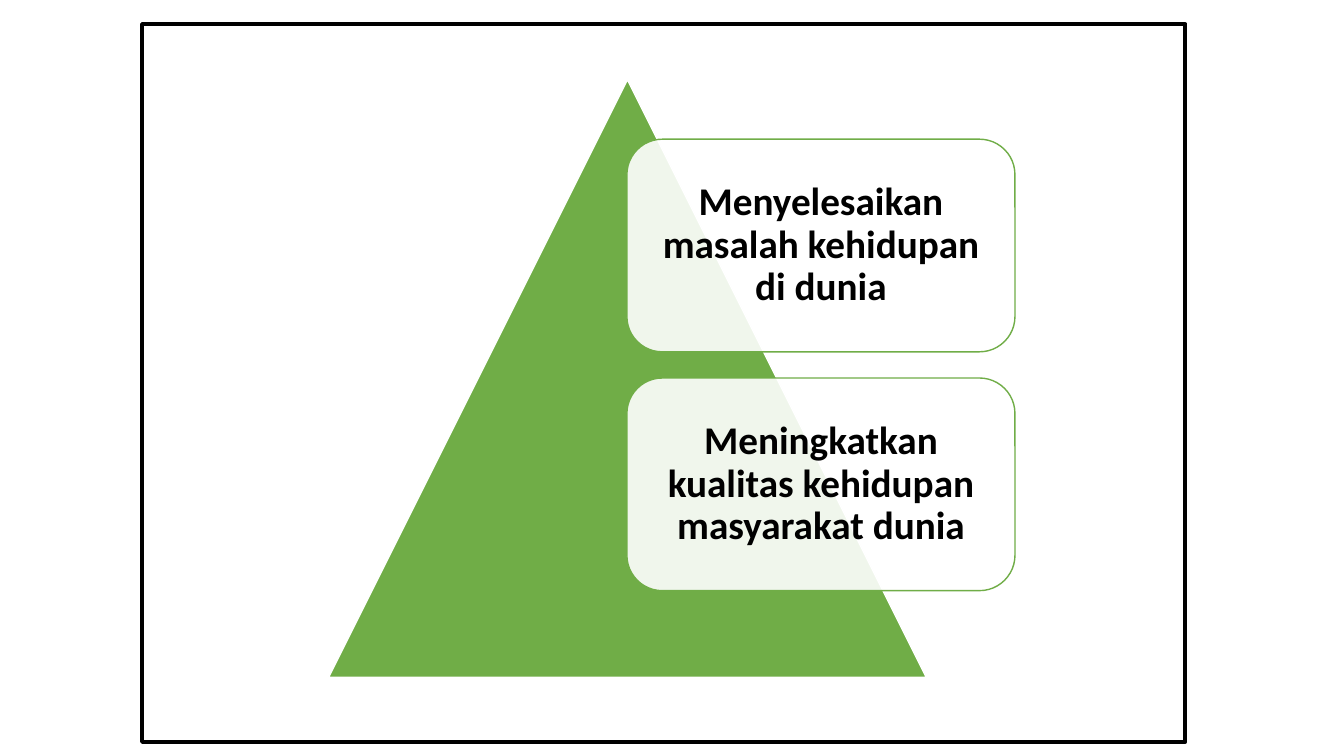
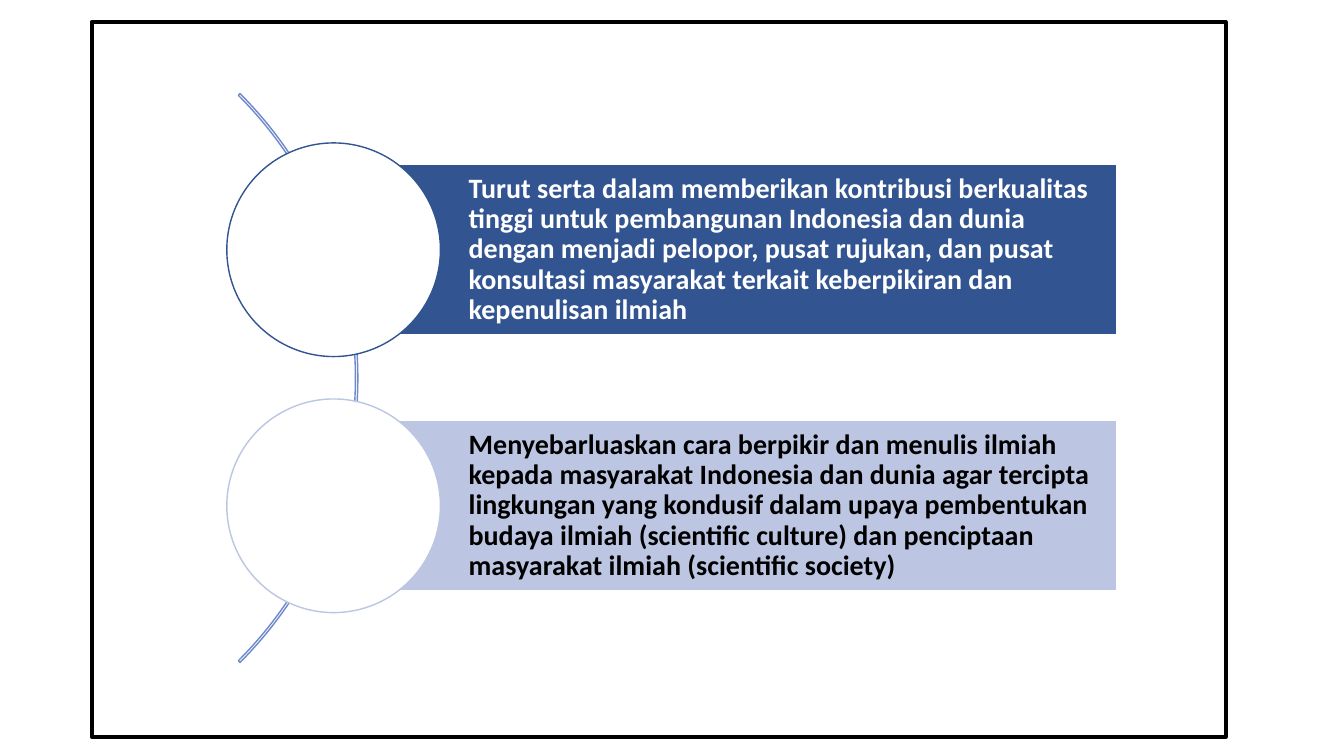
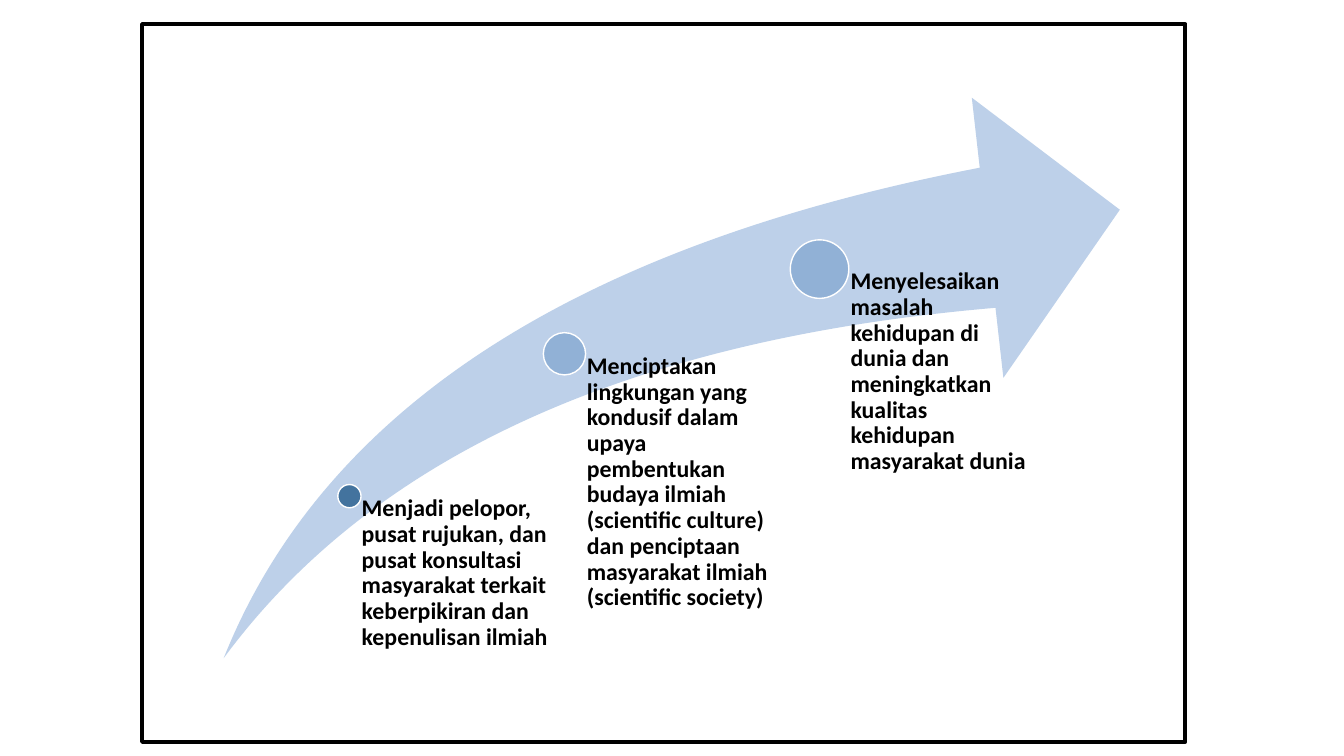
"""Build three diagram slides: a pyramid, an arc list and a rising arrow."""
from lxml import etree
from pptx import Presentation
from pptx.dml.color import RGBColor
from pptx.enum.shapes import MSO_SHAPE
from pptx.enum.text import MSO_ANCHOR, PP_ALIGN
from pptx.oxml.ns import qn
from pptx.util import Pt

TRIANGLE = MSO_SHAPE.ISOSCELES_TRIANGLE
ROUNDED = MSO_SHAPE.ROUNDED_RECTANGLE
RECTANGLE = MSO_SHAPE.RECTANGLE
OVAL = MSO_SHAPE.OVAL
ARC = MSO_SHAPE.BLOCK_ARC
SWOOSH = MSO_SHAPE.SWOOSH_ARROW
TOP, MIDDLE = MSO_ANCHOR.TOP, MSO_ANCHOR.MIDDLE
LEFT, CENTER = PP_ALIGN.LEFT, PP_ALIGN.CENTER

BLACK = RGBColor(0x00, 0x00, 0x00)
WHITE = RGBColor(0xFF, 0xFF, 0xFF)
GREEN = RGBColor(0x70, 0xAD, 0x47)
ARC_BLUE = RGBColor(0x6D, 0x89, 0xCB)
NAVY = RGBColor(0x32, 0x54, 0x91)
LAVENDER = RGBColor(0xBC, 0xC6, 0xE2)
ARROW_BLUE = RGBColor(0xBD, 0xD0, 0xE9)
DOT_DARK = RGBColor(0x43, 0x73, 0x9E)
DOT_LIGHT = RGBColor(0x91, 0xB1, 0xD6)

FONT = "Calibri"
BLANK_LAYOUT = 6
NARROW_FRAME = (101.5, 17.3, 745.2, 512.6)
WIDE_FRAME = (65.5, 15.8, 810, 510.5)

CARDS = [
    "Menyelesaikan masalah kehidupan di dunia",
    "Meningkatkan kualitas kehidupan masyarakat dunia",
]
BANDS = [
    ("Turut serta dalam memberikan kontribusi berkualitas tinggi untuk "
     "pembangunan Indonesia dan dunia dengan menjadi pelopor, pusat rujukan, "
     "dan pusat konsultasi masyarakat terkait keberpikiran dan kepenulisan "
     "ilmiah", NAVY, WHITE),
    ("Menyebarluaskan cara berpikir dan menulis ilmiah kepada masyarakat "
     "Indonesia dan dunia agar tercipta lingkungan yang kondusif dalam upaya "
     "pembentukan budaya ilmiah (scientific culture) dan penciptaan "
     "masyarakat ilmiah (scientific society)", LAVENDER, BLACK),
]
STEPS = [
    ("Menjadi pelopor, pusat rujukan, dan pusat konsultasi masyarakat "
     "terkait keberpikiran dan kepenulisan ilmiah",
     249.6, 354.4, 16.6, 149, DOT_DARK),
    ("Menciptakan lingkungan yang kondusif dalam upaya pembentukan budaya "
     "ilmiah (scientific culture) dan penciptaan masyarakat ilmiah "
     "(scientific society)",
     403.2, 252.7, 30.2, 153.4, DOT_LIGHT),
    ("Menyelesaikan masalah kehidupan di dunia dan meningkatkan kualitas "
     "kehidupan masyarakat dunia",
     585.4, 192.2, 41.8, 153.4, DOT_LIGHT),
]


def set_all(target, values):
    """Set every attribute named in values on target."""
    for name, value in values.items():
        setattr(target, name, value)


def add_figure(page, kind, bounds, fill=None, line=None, weight=1, adjust=()):
    """Add a preset shape with flat fill and outline."""
    shape = page.shapes.add_shape(kind, *map(Pt, bounds))
    shape.shadow.inherit = False
    for index, value in enumerate(adjust):
        shape.adjustments[index] = value
    if fill is None:
        shape.fill.background()
    else:
        shape.fill.solid()
        shape.fill.fore_color.rgb = fill
    if line is None:
        shape.line.fill.background()
    else:
        shape.line.color.rgb = line
        shape.line.width = Pt(weight)
    return shape


def add_disc(page, center_x, center_y, diameter, fill, line):
    """Add a circle around a centre point."""
    bounds = (center_x - diameter / 2, center_y - diameter / 2,
              diameter, diameter)
    return add_figure(page, OVAL, bounds, fill, line)


def set_opacity(shape, percent):
    """Make the solid fill of a shape partly transparent."""
    color = shape.fill._xPr.find(qn("a:solidFill"))[0]
    etree.SubElement(color, qn("a:alpha")).set("val", str(percent * 1000))


def write_text(shape, text, size, insets, color=BLACK, align=LEFT,
               anchor=MIDDLE):
    """Write one bold paragraph into a shape or text box."""
    frame = shape.text_frame
    sides = ("margin_left", "margin_top", "margin_right", "margin_bottom")
    set_all(frame, dict(zip(sides, map(Pt, insets))))
    set_all(frame, {"word_wrap": True, "vertical_anchor": anchor})
    para = frame.paragraphs[0]
    set_all(para, {"alignment": align, "line_spacing": 0.9,
                   "space_after": Pt(0.35 * size)})
    span = para.add_run()
    span.text = text
    set_all(span.font, {"name": FONT, "size": Pt(size), "bold": True})
    span.font.color.rgb = color


def add_frame(page, bounds):
    """Add the black border around the diagram."""
    add_figure(page, RECTANGLE, bounds, line=BLACK, weight=3)


def build_pyramid(page):
    """Draw the triangle with two translucent cards."""
    add_figure(page, TRIANGLE, (234.7, 56.9, 427, 427), GREEN, WHITE)
    for index, text in enumerate(CARDS):
        bounds = (447.8, 99.4 + 170.6 * index, 277.2, 151.9)
        card = add_figure(page, ROUNDED, bounds, WHITE, GREEN)
        set_opacity(card, 90)
        write_text(card, text, 28, [8.64] * 4, align=CENTER)
    add_frame(page, NARROW_FRAME)


def build_arc_list(page):
    """Draw the arc with two bands, each led by a circle."""
    add_figure(page, ARC, (-319, -17.3, 574.6, 574.6), line=ARC_BLUE,
               adjust=(189, 27, 0.003))
    left, height = 238.3, 121.7
    for index, (text, fill, color) in enumerate(BANDS):
        middle = 178.4 + 182.9 * index
        bounds = (left, middle - height / 2, 559.4, height)
        band = add_figure(page, RECTANGLE, bounds, fill, WHITE)
        write_text(band, text, 20, (96.5, 4.3, 4.3, 4.3), color)
        add_disc(page, left, middle, 152.6, WHITE, fill)
    add_frame(page, WIDE_FRAME)


def build_rising_arrow(page):
    """Draw the swoosh arrow with three labelled dots."""
    top, height = 69.8, 400.3
    add_figure(page, SWOOSH, (159.8, top, 640.1, height), ARROW_BLUE,
               adjust=(0.25, 0.25))
    for text, dot_x, dot_y, diameter, width, fill in STEPS:
        add_disc(page, dot_x, dot_y, diameter, fill, WHITE)
        bounds = (dot_x, dot_y, width, top + height - dot_y)
        box = page.shapes.add_textbox(*map(Pt, bounds))
        write_text(box, text, 17, (0.53 * diameter, 0, 0, 0), anchor=TOP)
    add_frame(page, NARROW_FRAME)


def main():
    """Build and save the deck."""
    deck = Presentation()
    set_all(deck, {"slide_width": Pt(960), "slide_height": Pt(540)})
    for build in (build_pyramid, build_arc_list, build_rising_arrow):
        build(deck.slides.add_slide(deck.slide_layouts[BLANK_LAYOUT]))
    deck.save("out.pptx")


main()
